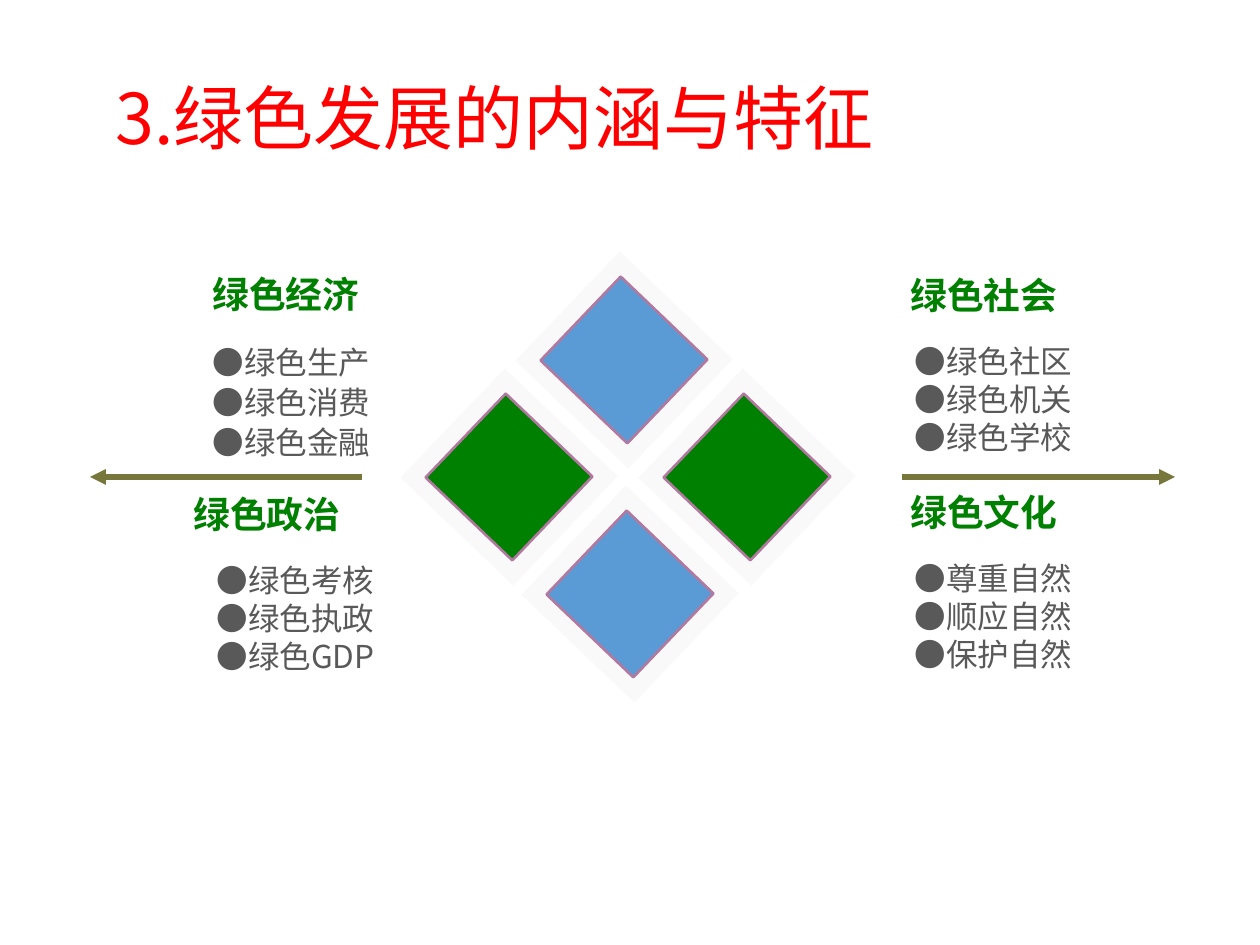
import pptx
import pptx.util
import pptx.dml.color
import pptx.enum.shapes
import pptx.enum.text
import pptx.oxml.ns
import lxml.etree

EMU_PER_PX = 914400 / 126
FONT = "Noto Sans CJK SC"
RED = pptx.dml.color.RGBColor(0xFF, 0x00, 0x00)
GREEN = pptx.dml.color.RGBColor(0x00, 0x80, 0x00)
BLUE = pptx.dml.color.RGBColor(0x5B, 0x9B, 0xD5)
GRAY = pptx.dml.color.RGBColor(0x59, 0x59, 0x59)
PALE = pptx.dml.color.RGBColor(0xF9, 0xF9, 0xF9)
MAUVE = pptx.dml.color.RGBColor(0xB1, 0x79, 0xA0)
OLIVE = pptx.dml.color.RGBColor(0x77, 0x77, 0x3B)

# Heading, list, left, top, list indent, line spacing
PANELS = [
    ("绿色经济", ["●绿色生产", "●绿色消费", "●绿色金融"], 200, 266, 0, 1.05),
    ("绿色政治", ["●绿色考核", "●绿色执政", "●绿色GDP"], 181, 486, 23, 1),
    ("绿色社会", ["●绿色社区", "●绿色机关", "●绿色学校"], 898, 267, 4, 1),
    ("绿色文化", ["●尊重自然", "●顺应自然", "●保护自然"], 898, 484, 4, 1),
]


def px(value):
    return pptx.util.Emu(round(value * EMU_PER_PX))


def place(shape, left, top, width, height):
    shape.left, shape.top = px(left), px(top)
    shape.width, shape.height = px(width), px(height)


def add_xml(parent, tag, **attributes):
    return lxml.etree.SubElement(parent, pptx.oxml.ns.qn(tag), **attributes)


def write_text(shape, lines, size, color, bold=False, spacing=1):
    frame = shape.text_frame
    frame.word_wrap = True
    frame.auto_size = pptx.enum.text.MSO_AUTO_SIZE.NONE
    frame.vertical_anchor = pptx.enum.text.MSO_ANCHOR.TOP
    frame.text = "\n".join(lines)
    for paragraph in frame.paragraphs:
        paragraph.alignment = pptx.enum.text.PP_ALIGN.LEFT
        paragraph.line_spacing = spacing
        paragraph.space_before = paragraph.space_after = pptx.util.Pt(0)
        properties = paragraph._p.get_or_add_pPr()
        properties.set("marL", "0")
        properties.set("indent", "0")
        add_xml(properties, "a:buNone")
        font = paragraph.runs[0].font
        font.size = pptx.util.Pt(size)
        font.bold = bold
        font.color.rgb = color
        font.name = FONT
        add_xml(font._element, "a:ea", typeface=FONT)


def fill_title(title, left, top, width, height):
    place(title, left, top, width, height)
    write_text(title, ["3.绿色发展的内涵与特征"], size=40, color=RED)


def add_panel(slide, body, heading, items, left, top, indent, spacing):
    """Put a heading at the given corner, with its list below in the body placeholder."""
    heading_box = slide.shapes.add_textbox(px(left), px(top), px(211), px(57))
    write_text(heading_box, [heading], size=21, color=GREEN, bold=True)
    place(body, left + indent, top + 69, 265, 127)
    write_text(body, items, size=18, color=GRAY, spacing=spacing)


def add_square(slide, center_x, center_y, width, height, fill, line=None):
    square = slide.shapes.add_shape(
        pptx.enum.shapes.MSO_SHAPE.RECTANGLE,
        px(center_x - width / 2), px(center_y - height / 2), px(width), px(height))
    square.rotation = 43.7
    square.shadow.inherit = False
    square.fill.solid()
    square.fill.fore_color.rgb = fill
    if line is None:
        square.line.fill.background()
    else:
        square.line.color.rgb = line
        square.line.width = pptx.util.Pt(1.5)


def add_diamond(slide, center_x, center_y):
    """Draw four framed tiles around the centre."""
    tiles = [(-4, -117, BLUE), (-119, 0, GREEN), (2, 117, BLUE), (119, 0, GREEN)]
    for offset_x, offset_y, color in tiles:
        x, y = center_x + offset_x, center_y + offset_y
        add_square(slide, x, y, 156, 151, PALE)
        add_square(slide, x, y, 120, 116, color, line=MAUVE)


def add_arrow(slide, start_x, end_x, y):
    arrow = slide.shapes.add_connector(
        pptx.enum.shapes.MSO_CONNECTOR.STRAIGHT, px(start_x), px(y), px(end_x), px(y))
    arrow.line.color.rgb = OLIVE
    arrow.line.width = pptx.util.Pt(3)
    add_xml(arrow.line._get_or_add_ln(), "a:tailEnd", type="triangle")
    add_xml(arrow._element.spPr, "a:effectLst")


def main():
    presentation = pptx.Presentation()
    presentation.slide_width, presentation.slide_height = px(1260), px(945)
    comparison_layout = presentation.slide_layouts[4]
    slide = presentation.slides.add_slide(comparison_layout)
    title, *bodies = slide.placeholders

    fill_title(title, 103, 68, 1072, 97)
    add_arrow(slide, 362, 90, 477)
    add_arrow(slide, 902, 1175, 477)
    add_diamond(slide, 628, 477)
    for body, panel in zip(bodies, PANELS):
        add_panel(slide, body, *panel)

    presentation.save("out.pptx")


if __name__ == "__main__":
    main()
